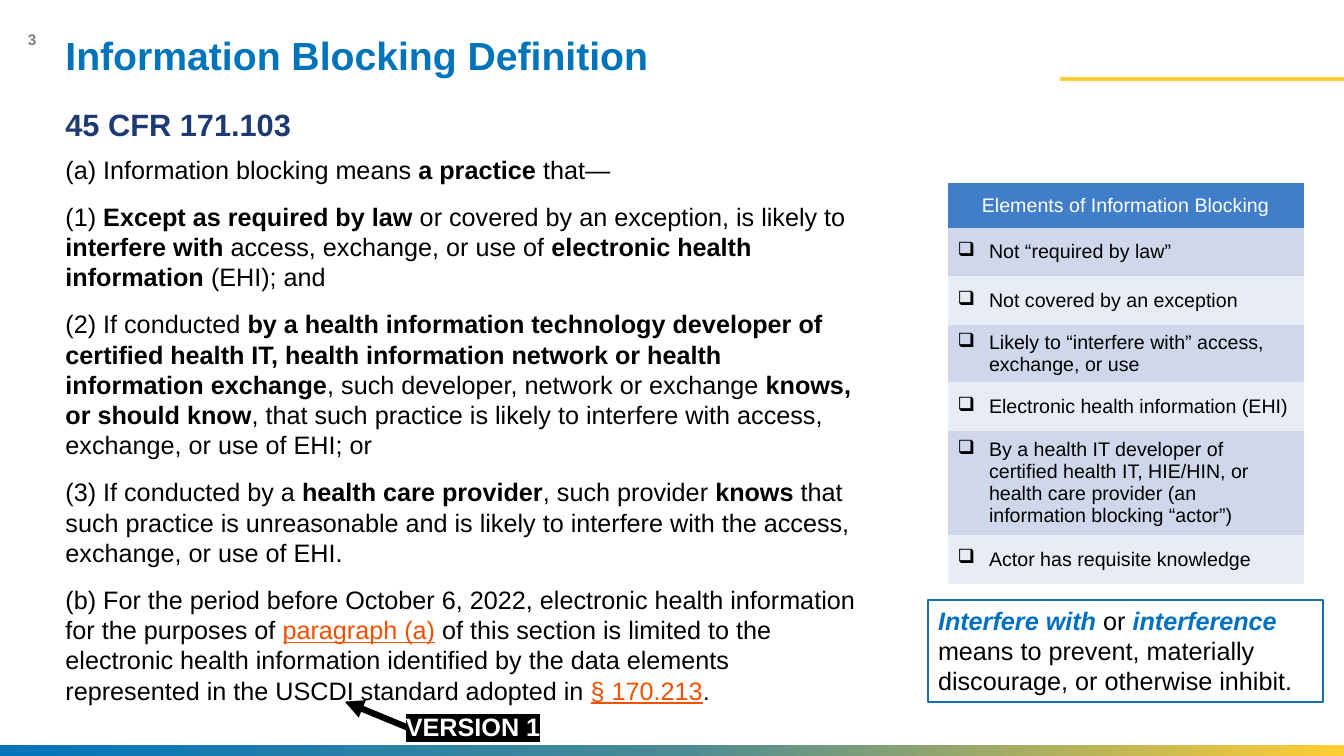
from lxml import etree
from pptx import Presentation
from pptx import util as u
from pptx.dml.color import RGBColor
from pptx.enum import shapes, text
from pptx.oxml.ns import qn

BLUE, NAVY, GOLD, ORANGE = "0074BB", "1E3A72", "FFCD35", "F15100"
BLACK, WHITE, GRAY = "000000", "FFFFFF", "808080"
BOLD = {"bold": True}
LINK = {"color": ORANGE, "underline": True}
TERM = {"color": "0070C0", "bold": True, "italic": True}


def rgb(color):
    return RGBColor.from_string(color)


def child(parent, tag, **attrs):
    return etree.SubElement(parent, qn(tag), attrs)


def add_run(p, content, size=18, color=BLACK, bold=False, italic=False,
            underline=False, highlight=None, font="Arial"):
    r = p.add_run()
    r.text = content
    f = r.font
    f.name, f.size, f.bold, f.italic, f.underline = font, u.Pt(size), bold, italic, underline
    f.color.rgb = rgb(color)
    if highlight:
        mark = etree.Element(qn("a:highlight"))
        child(mark, "a:srgbClr", val=highlight)
        r._r.rPr.find(qn("a:solidFill")).addnext(mark)


def write(tf, paragraphs, align="LEFT", spacing=None, after=0, bullet=None, **fmt):
    """Each paragraph is a list of strings or (string, format) pairs."""
    for i, runs in enumerate(paragraphs):
        p = tf.paragraphs[0] if i == 0 else tf.add_paragraph()
        p.alignment = getattr(text.PP_ALIGN, align)
        p.line_spacing = spacing
        p.space_after = u.Pt(after)
        if bullet:
            pPr = p._p.get_or_add_pPr()
            indent = u.Cm(0.79)
            pPr.set("marL", str(indent))
            pPr.set("indent", str(-indent))
            child(pPr, "a:buChar", char=bullet)
        for run in runs:
            content, extra = (run, {}) if isinstance(run, str) else run
            add_run(p, content, **{**fmt, **extra})


class Deck:
    def __init__(self, width, height):
        self.prs = Presentation()
        self.prs.slide_width, self.prs.slide_height = u.Cm(width), u.Cm(height)
        self.slide = self.prs.slides.add_slide(self.prs.slide_layouts[6])

    def text(self, box, paragraphs, anchor="TOP", wrap=True, **fmt):
        tf = self.slide.shapes.add_textbox(*map(u.Cm, box)).text_frame
        tf.word_wrap = wrap
        tf.vertical_anchor = getattr(text.MSO_ANCHOR, anchor)
        write(tf, paragraphs, **fmt)

    def rect(self, box):
        sp = self.slide.shapes.add_shape(shapes.MSO_SHAPE.RECTANGLE, *map(u.Cm, box))
        sp.shadow.inherit = False
        sp.fill.background()
        sp.line.fill.background()
        return sp

    def gradient_bar(self, box, colors):
        sp = self.rect(box)
        sp.fill.gradient()
        sp.fill.gradient_angle = 0
        stops = sp._element.spPr.find(".//" + qn("a:gsLst"))
        stops.clear()
        for i, color in enumerate(colors):
            stop = child(stops, "a:gs", pos=str(100000 * i // (len(colors) - 1)))
            child(stop, "a:srgbClr", val=color)

    def framed_text(self, box, paragraphs, line, weight, **fmt):
        sp = self.rect(box)
        sp.line.color.rgb, sp.line.width = rgb(line), u.Pt(weight)
        sp.text_frame.word_wrap = True
        write(sp.text_frame, paragraphs, **fmt)

    def line(self, ends, color, weight, arrow=False):
        c = self.slide.shapes.add_connector(shapes.MSO_CONNECTOR.STRAIGHT, *map(u.Cm, ends))
        c.line.color.rgb, c.line.width = rgb(color), u.Pt(weight)
        if arrow:
            child(c.line._get_or_add_ln(), "a:tailEnd", type="triangle")
        child(c._element.spPr, "a:effectLst")

    def checklist(self, left, top, width, header, items):
        heights = [1.12] + [height for _, height in items]
        frame = self.slide.shapes.add_table(
            len(heights), 1, *map(u.Cm, (left, top, width, sum(heights))))
        table = frame.table
        table.horz_banding = False
        # Plain table style without borders
        table._tbl.tblPr.find(qn("a:tableStyleId")).text = "{2D5ABB26-0587-4C30-8999-92F81FD0307C}"
        for i, (label, height) in enumerate([(header, heights[0])] + items):
            table.rows[i].height = u.Cm(height)
            cell = table.cell(i, 0)
            cell.vertical_anchor = text.MSO_ANCHOR.MIDDLE
            cell.fill.solid()
            if i == 0:
                cell.fill.fore_color.rgb = rgb("407EC9")
                write(cell.text_frame, [[label]], align="CENTER", size=14, color=WHITE)
            else:
                cell.fill.fore_color.rgb = rgb("CFD8EB" if i % 2 else "E8ECF5")
                write(cell.text_frame, [[label]], bullet="❑", size=14)


def main():
    deck = Deck(33.87, 19.05)

    # Slide frame
    deck.text((0, 0.48, 1.17, 1.02), [["3"]], anchor="MIDDLE", align="RIGHT",
              size=11, color=GRAY, bold=True)
    deck.gradient_bar((0, 18.77, 33.87, 0.28), [BLUE, "498A95", GOLD])
    deck.line((26.72, 1.98, 33.87, 1.98), GOLD, 2.75)

    # Headings
    deck.text((1.4, 0.79, 23.67, 1.55), [["Information Blocking Definition"]],
              spacing=0.9, size=28, color=BLUE, bold=True)
    deck.text((1.4, 2.64, 6.93, 1.09), [["45 CFR 171.103"]],
              spacing=0.9, size=22, color=NAVY, bold=True)

    # Regulation text
    deck.text((1.4, 3.76, 20.42, 14.27), [
        ["(a) Information blocking means ", ("a practice ", BOLD), "that—"],
        ["(1) ", ("Except as required by law ", BOLD),
         "or covered by an exception, is likely to ", ("interfere with ", BOLD),
         "access, exchange, or use of ", ("electronic health information ", BOLD),
         "(EHI); and"],
        ["(2) If conducted ",
         ("by a health information technology developer of certified health IT, "
          "health information network or health information exchange", BOLD),
         ", such developer, network or exchange ", ("knows, or should know", BOLD),
         ", that such practice is likely to interfere with access, exchange, "
         "or use of EHI; or"],
        ["(3) If conducted by a ", ("health care provider", BOLD),
         ", such provider ", ("knows", BOLD),
         " that such practice is unreasonable and is likely to interfere with "
         "the access, exchange, or use of EHI."],
        ["(b) For the period before October 6, 2022, electronic health information "
         "for the purposes of ", ("paragraph (a)", LINK),
         " of this section is limited to the electronic health information identified "
         "by the data elements represented in the USCDI standard adopted in ",
         ("§ 170.213", LINK), "."],
    ], after=12)

    # Version callout
    deck.line((10.29, 18.34, 8.69, 17.68), BLACK, 4.5, arrow=True)
    deck.text((9.98, 17.81, 3.91, 1.02), [["VERSION 1"]], wrap=False,
              color=WHITE, bold=True, highlight=BLACK)

    # Elements table
    deck.checklist(23.88, 4.62, 8.97, "Elements of Information Blocking", [
        ("Not “required by law”", 1.22),
        ("Not covered by an exception", 1.22),
        ("Likely to “interfere with” access, exchange, or use", 1.45),
        ("Electronic health information (EHI)", 1.22),
        ("By a health IT developer of certified health IT, HIE/HIN, or health care "
         "provider (an information blocking “actor”)", 2.62),
        ("Actor has requisite knowledge", 1.23),
    ])

    # Definition of interference
    deck.framed_text((23.39, 15.11, 9.96, 2.57), [
        [("Interfere with ", TERM), "or ", ("interference", TERM),
         " means to prevent, materially discourage, or otherwise inhibit."],
    ], line="146FB4", weight=1.5)

    deck.prs.save("out.pptx")


if __name__ == "__main__":
    main()
